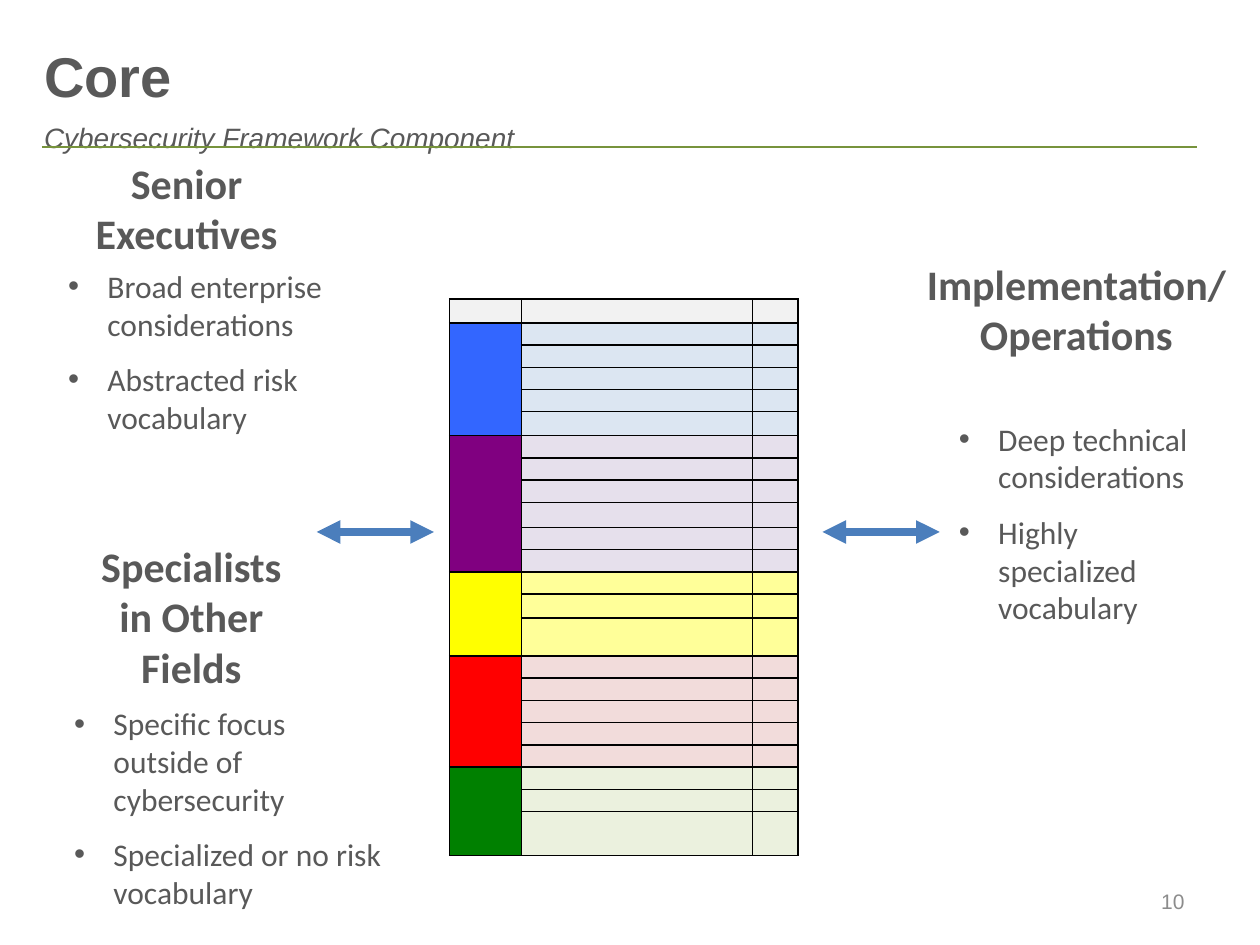
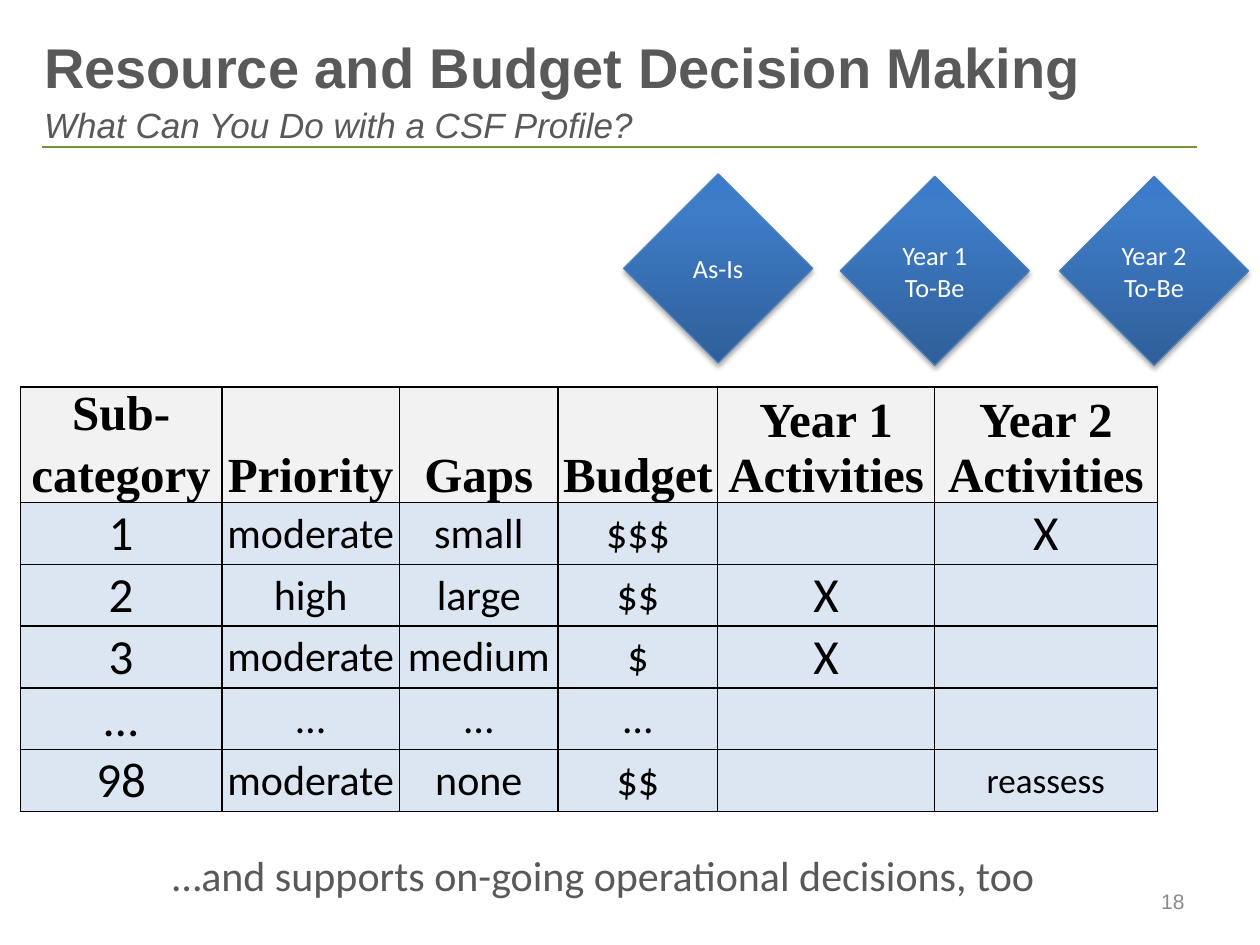
from lxml import etree
from pptx import Presentation
from pptx.dml.color import RGBColor
from pptx.enum.shapes import MSO_CONNECTOR, MSO_SHAPE
from pptx.enum.text import MSO_ANCHOR, MSO_AUTO_SIZE, PP_ALIGN
from pptx.oxml import parse_xml
from pptx.oxml.ns import nsdecls, qn
from pptx.util import Pt

STRAIGHT = MSO_CONNECTOR.STRAIGHT
DIAMOND = MSO_SHAPE.DIAMOND
TOP, MIDDLE, BOTTOM = MSO_ANCHOR.TOP, MSO_ANCHOR.MIDDLE, MSO_ANCHOR.BOTTOM
LEFT, CENTER, RIGHT = PP_ALIGN.LEFT, PP_ALIGN.CENTER, PP_ALIGN.RIGHT
NO_AUTOFIT = MSO_AUTO_SIZE.NONE

COMPARISON, TITLE_ONLY = 4, 5
HEADING_FONT, BODY_FONT, TABLE_FONT = "Arial", "Calibri", "Times New Roman"

GRAY = RGBColor(0x59, 0x59, 0x59)
NUMBER_GRAY = RGBColor(0x8C, 0x8C, 0x8C)
RULE_GREEN = RGBColor(0x77, 0x93, 0x3C)
ARROW_BLUE = RGBColor(0x4B, 0x7E, 0xBC)
DIAMOND_DARK = RGBColor(0x2F, 0x5F, 0x99)
DIAMOND_MID = RGBColor(0x3D, 0x7C, 0xC7)
DIAMOND_LIGHT = RGBColor(0x3A, 0x7C, 0xCB)
WHITE = RGBColor(0xFF, 0xFF, 0xFF)
BLACK = RGBColor(0x00, 0x00, 0x00)
HEADER_FILL = RGBColor(0xF2, 0xF2, 0xF2)
PALE_BLUE = RGBColor(0xDC, 0xE6, 0xF2)

CORE_FUNCTIONS = [
    (5, RGBColor(0x33, 0x66, 0xFF), PALE_BLUE),
    (6, RGBColor(0x80, 0x00, 0x80), RGBColor(0xE6, 0xE0, 0xEC)),
    (3, RGBColor(0xFF, 0xFF, 0x00), RGBColor(0xFF, 0xFF, 0x99)),
    (5, RGBColor(0xFF, 0x00, 0x00), RGBColor(0xF2, 0xDC, 0xDB)),
    (3, RGBColor(0x00, 0x80, 0x00), RGBColor(0xEB, 0xF1, 0xDE)),
]
CORE_ROW = 12.7
CORE_TALL_ROWS = {0: 13.7, 5: 13.7, 9: 14.3, 13: 13.7, 14: 21.7, 22: 25.2}

BUDGET_HEADER = [["Sub-", "category"], ["Priority"], ["Gaps"], ["Budget"],
                 ["Year 1 Activities"], ["Year 2 Activities"]]
BUDGET_ROWS = [
    ["1", "moderate", "small", "$$$", "", "X"],
    ["2", "high", "large", "$$", "X", ""],
    ["3", "moderate", "medium", "$", "X", ""],
    ["…", "…", "…", "…", "", ""],
    ["98", "moderate", "none", "$$", "", "reassess"],
]
BUDGET_SIZES = [28, 24, 24, 24, 28, 28]


class Deck:
    def __init__(self):
        self.prs = Presentation()
        self.prs.slide_width, self.prs.slide_height = Pt(720), Pt(540)
        self.slide = None

    def start(self, layout, title, subtitle, subtitle_size, title_top, number):
        self.slide = self.prs.slides.add_slide(self.prs.slide_layouts[layout])
        self.line(24, 84, 684, 84, RULE_GREEN, 0.75)
        heading = self.slide.shapes.title
        self.place(heading, (18, title_top, 666, 60))
        frame = self.frame(heading, BOTTOM)
        paragraph = frame.paragraphs[0]
        paragraph.line_spacing = Pt(26)
        self.style(paragraph, 32, GRAY, HEADING_FONT, LEFT)
        main = paragraph.add_run()
        main.text = title
        main.font.bold = True
        paragraph.add_line_break()
        sub = paragraph.add_run()
        sub.text = subtitle
        sub.font.size, sub.font.bold, sub.font.italic = Pt(subtitle_size), False, True
        self.text((516, 500.4, 168, 28.8), [number], 12, NUMBER_GRAY,
                  HEADING_FONT, RIGHT, anchor=MIDDLE)

    def place(self, shape, box):
        shape.left, shape.top, shape.width, shape.height = map(Pt, box)

    def frame(self, shape, anchor):
        frame = shape.text_frame
        frame.word_wrap = True
        frame.auto_size = NO_AUTOFIT
        frame.vertical_anchor = anchor
        return frame

    def style(self, paragraph, size, color, font=BODY_FONT, align=LEFT, bold=False):
        paragraph.alignment = align
        paragraph.font.size, paragraph.font.name = Pt(size), font
        paragraph.font.bold = bold
        paragraph.font.color.rgb = color

    def fill_text(self, frame, lines, size, color, font=BODY_FONT, align=LEFT,
                  bold=False, bullets=False):
        for index, line in enumerate(lines):
            paragraph = frame.add_paragraph() if index else frame.paragraphs[0]
            paragraph.text = line
            paragraph.space_before = Pt(0)
            if bullets:
                paragraph.space_after = Pt(10)
                props = paragraph._p.get_or_add_pPr()
                props.set("marL", str(Pt(22.5)))
                props.set("indent", str(-Pt(22.5)))
                etree.SubElement(props, qn("a:buFont")).set("typeface", "Arial")
                etree.SubElement(props, qn("a:buChar")).set("char", "•")
            self.style(paragraph, size, color, font, align, bold)

    def text(self, box, lines, size, color=GRAY, font=BODY_FONT, align=LEFT,
             bold=False, bullets=False, anchor=TOP, slot=None, wrap=True):
        if slot is None:
            shape = self.slide.shapes.add_textbox(*map(Pt, box))
        else:
            shape = self.slide.placeholders[slot]
            self.place(shape, box)
        frame = self.frame(shape, anchor)
        frame.word_wrap = wrap
        self.fill_text(frame, lines, size, color, font, align, bold, bullets)

    def audience(self, name, name_box, points, points_box, slots=(None, None)):
        self.text(name_box, [name], 24, align=CENTER, bold=True, slot=slots[0])
        self.text(points_box, points, 18, bullets=True, slot=slots[1])

    def line(self, x1, y1, x2, y2, color, width, arrows=False):
        connector = self.slide.shapes.add_connector(STRAIGHT, *map(Pt, (x1, y1, x2, y2)))
        connector.line.color.rgb = color
        connector.line.width = Pt(width)
        if arrows:
            outline = connector.line._get_or_add_ln()
            for end in ("a:headEnd", "a:tailEnd"):
                etree.SubElement(outline, qn(end)).set("type", "triangle")
        etree.SubElement(connector._element.spPr, qn("a:effectLst"))

    def diamond(self, left, top, lines):
        shape = self.slide.shapes.add_shape(DIAMOND, *map(Pt, (left, top, 108, 108)))
        shape.line.color.rgb = ARROW_BLUE
        shape.line.width = Pt(0.75)
        shape.shadow.inherit = False
        props = shape._element.spPr
        stops = "".join(
            f'<a:gs pos="{pos}"><a:srgbClr val="{color}"/></a:gs>'
            for pos, color in ((0, DIAMOND_DARK), (80000, DIAMOND_MID), (100000, DIAMOND_LIGHT)))
        props.find(qn("a:ln")).addprevious(parse_xml(
            f'<a:gradFill {nsdecls("a")} rotWithShape="1"><a:gsLst>{stops}</a:gsLst>'
            '<a:lin ang="16200000" scaled="0"/></a:gradFill>'))
        props.find(qn("a:effectLst")).append(parse_xml(
            f'<a:outerShdw {nsdecls("a")} blurRad="{Pt(3.1)}" dist="{Pt(1.8)}" dir="5400000"'
            ' rotWithShape="0"><a:srgbClr val="000000"><a:alpha val="35000"/></a:srgbClr>'
            '</a:outerShdw>'))
        self.fill_text(self.frame(shape, MIDDLE), lines, 15, WHITE, align=CENTER)

    def table(self, left, top, widths, heights):
        frame = self.slide.shapes.add_table(
            len(heights), len(widths), Pt(left), Pt(top), Pt(sum(widths)), Pt(sum(heights)))
        table = frame.table
        table.first_row = table.horz_banding = False
        for column, width in zip(table.columns, widths):
            column.width = Pt(width)
        for row, height in zip(table.rows, heights):
            row.height = Pt(height)
        return table

    def cell(self, cell, fill, margins=(0, 0, 0, 0), anchor=MIDDLE):
        (cell.margin_left, cell.margin_top,
         cell.margin_right, cell.margin_bottom) = map(Pt, margins)
        cell.vertical_anchor = anchor
        props = cell._tc.get_or_add_tcPr()
        for side in "LRTB":
            props.append(parse_xml(
                f'<a:ln{side} {nsdecls("a")} w="{Pt(1)}"><a:solidFill>'
                f'<a:srgbClr val="{BLACK}"/></a:solidFill></a:ln{side}>'))
        cell.fill.solid()
        cell.fill.fore_color.rgb = fill

    def empty_cell(self, cell, fill):
        self.cell(cell, fill)
        etree.SubElement(cell.text_frame.paragraphs[0]._p, qn("a:endParaRPr")).set("sz", "800")


def build_core(deck):
    deck.start(COMPARISON, "Core", "Cybersecurity Framework Component", 16, 31.7, "10")

    row_count = 1 + sum(count for count, _, _ in CORE_FUNCTIONS)
    heights = [CORE_ROW] * row_count
    for row, height in CORE_TALL_ROWS.items():
        heights[row] = height
    core = deck.table(257, 170.8, [41, 132, 26], heights)
    row_fills = [(HEADER_FILL, HEADER_FILL)]
    for count, strong, pale in CORE_FUNCTIONS:
        first = len(row_fills)
        row_fills += [(strong, pale)] * count
        core.cell(first, 0).merge(core.cell(first + count - 1, 0))
    for row, (function_fill, category_fill) in enumerate(row_fills):
        for column, fill in enumerate((function_fill, category_fill, category_fill)):
            deck.empty_cell(core.cell(row, column), fill)

    deck.audience("Senior Executives", (38.2, 86.4, 136.8, 65.5),
                  ["Broad enterprise considerations", "Abstracted risk vocabulary"],
                  (31.7, 149, 175, 104.4), (1, 2))
    deck.audience("Implementation/ Operations", (519, 144, 192.2, 65.5),
                  ["Deep technical considerations", "Highly specialized vocabulary"],
                  (540.7, 236.2, 159.8, 126.7), (3, 4))
    deck.audience("Specialists in Other Fields", (41, 305.3, 136.8, 94.3),
                  ["Specific focus outside of cybersecurity", "Specialized or no risk vocabulary"],
                  (35.3, 398.9, 191.5, 126.7))
    for left in (181, 470):
        deck.line(left, 304, left + 67, 304, ARROW_BLUE, 4.5, arrows=True)


def build_budget(deck):
    deck.start(TITLE_ONLY, "Resource and Budget Decision Making",
               "What Can You Do with a CSF Profile?", 20, 26.6, "18")

    budget = deck.table(11.6, 221.2, [115.2, 101.5, 90.7, 91.2, 123.8, 127.4],
                        [65.7] + [35.3] * len(BUDGET_ROWS))
    for column, lines in enumerate(BUDGET_HEADER):
        cell = budget.cell(0, column)
        deck.cell(cell, HEADER_FILL, (2, 0, 2, 0), BOTTOM)
        deck.fill_text(cell.text_frame, lines, 28, BLACK, TABLE_FONT, CENTER, bold=True)
        for index, paragraph in enumerate(cell.text_frame.paragraphs):
            paragraph.space_before = Pt(2 if index else 0)
            paragraph.space_after = Pt(2)
    for row, values in enumerate(BUDGET_ROWS, 1):
        for column, (value, size) in enumerate(zip(values, BUDGET_SIZES)):
            cell = budget.cell(row, column)
            if not value:
                deck.empty_cell(cell, PALE_BLUE)
                continue
            deck.cell(cell, PALE_BLUE, (0.7, 0.7, 0.7, 0))
            deck.fill_text(cell.text_frame, [value], 20 if value == "reassess" else size,
                           BLACK, align=CENTER)

    deck.diamond(356.4, 99.4, ["As-Is"])
    deck.diamond(480.2, 100.8, ["Year 1", "To-Be"])
    deck.diamond(605.5, 100.8, ["Year 2", "To-Be"])
    deck.text((91.4, 481.7, 513.4, 36), ["…and supports on-going operational decisions, too"],
              24, wrap=False)


def main():
    deck = Deck()
    build_core(deck)
    build_budget(deck)
    deck.prs.save("out.pptx")


if __name__ == "__main__":
    main()
